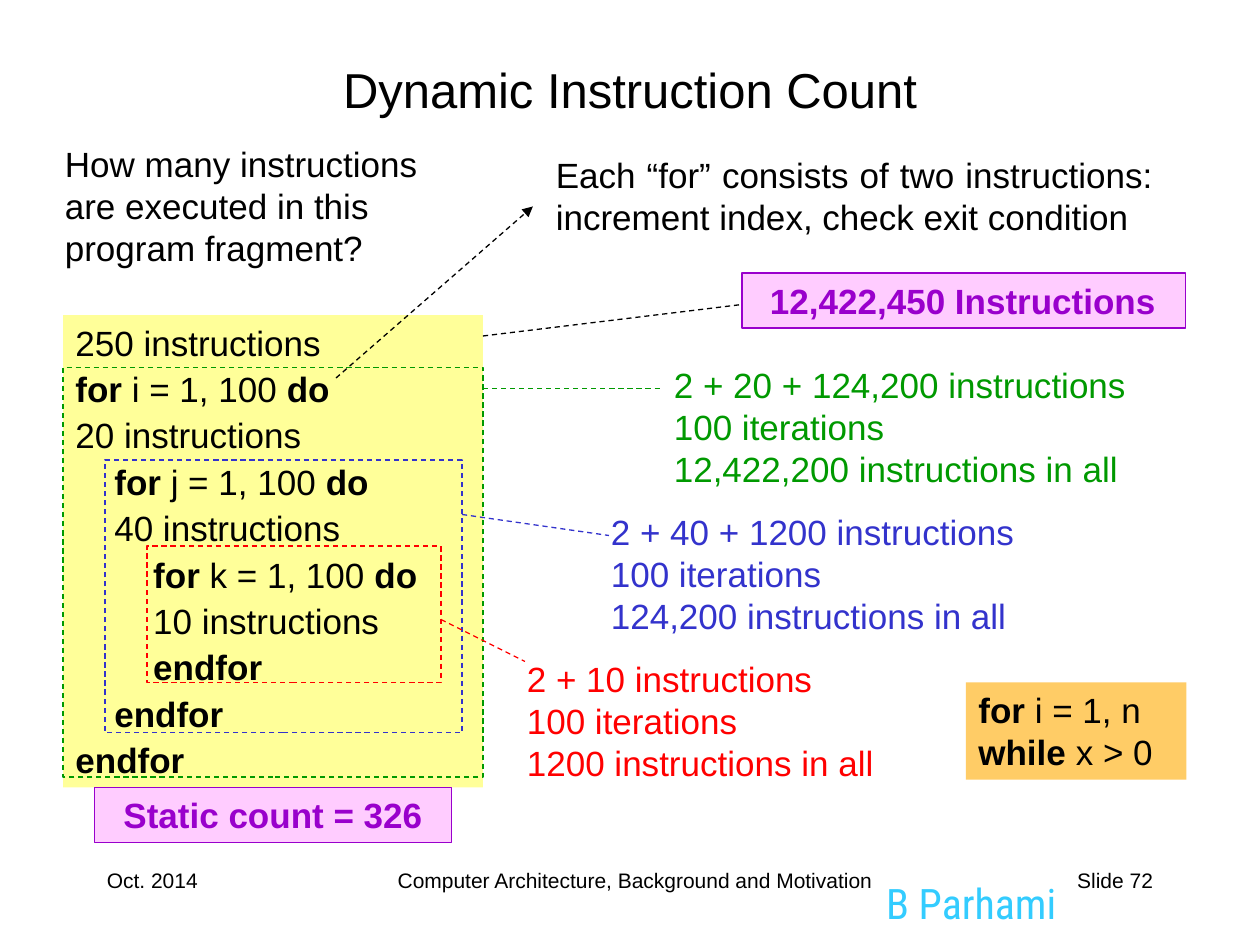
from lxml.etree import SubElement
from pptx import Presentation
from pptx.dml.color import RGBColor
from pptx.enum.dml import MSO_LINE_DASH_STYLE as Dash
from pptx.enum.shapes import MSO_CONNECTOR as Connector, MSO_SHAPE as Shape
from pptx.enum.text import MSO_ANCHOR as Anchor, PP_ALIGN as Align
from pptx.oxml.ns import qn
from pptx.util import Pt

BLACK = RGBColor(0x00, 0x00, 0x00)
GREEN = RGBColor(0x00, 0x99, 0x00)
BLUE = RGBColor(0x33, 0x33, 0xCC)
RED = RGBColor(0xFF, 0x00, 0x00)
PURPLE = RGBColor(0x99, 0x00, 0xCC)
CYAN = RGBColor(0x33, 0xCC, 0xFF)
YELLOW = RGBColor(0xFF, 0xFF, 0x99)
PINK = RGBColor(0xFF, 0xCC, 0xFF)
ORANGE = RGBColor(0xFF, 0xCC, 0x66)

LINE_WIDTH = Pt(0.75)
INDENT_STEP = 22.24

CODE = [
    (0, "250 instructions"),
    (0, "*for* i = 1, 100 *do*"),
    (0, "20 instructions"),
    (1, "*for* j = 1, 100 *do*"),
    (1, "40 instructions"),
    (2, "*for* k = 1, 100 *do*"),
    (2, "10 instructions"),
    (2, "*endfor*"),
    (1, "*endfor*"),
    (0, "*endfor*"),
]

LOOPS = [
    (GREEN, (36, 210, 240, 234), (276, 222, 378, 222), (378, 204, 288, 79),
     ["2 + 20 + 124,200 instructions", "100 iterations",
      "12,422,200 instructions in all"]),
    (BLUE, (60, 262.8, 204, 156), (264, 294, 348, 306), (342, 288, 288, 79),
     ["2 + 40 + 1200 instructions", "100 iterations",
      "124,200 instructions in all"]),
    (RED, (84, 312, 168, 78), (252, 354, 300, 378), (294, 372, 222, 79),
     ["2 + 10 instructions", "100 iterations", "1200 instructions in all"]),
]


def points(values):
    return [Pt(value) for value in values]


def write(box, lines, color=BLACK, size=20, align=Align.LEFT, font="Arial",
          anchor=Anchor.TOP, after=0):
    frame = box.text_frame
    frame.word_wrap = True
    frame.vertical_anchor = anchor
    for index, line in enumerate(lines):
        level, text = line if isinstance(line, tuple) else (0, line)
        para = frame.paragraphs[0] if index == 0 else frame.add_paragraph()
        para.alignment = align
        para.space_after = Pt(after)
        if level:
            para._p.get_or_add_pPr().set("marL", str(Pt(level * INDENT_STEP)))
        for part, words in enumerate(text.split("*")):
            if words:
                span = para.add_run()
                span.text = words
                span.font.name = font
                span.font.size = Pt(size)
                span.font.bold = part % 2 == 1
                span.font.color.rgb = color


def add_text(page, place, lines, **style):
    write(page.shapes.add_textbox(*points(place)), lines, **style)


def add_panel(page, place, fill=None, outline=None, dashed=False):
    panel = page.shapes.add_shape(Shape.RECTANGLE, *points(place))
    panel.shadow.inherit = False
    if fill is None:
        panel.fill.background()
    else:
        panel.fill.solid()
        panel.fill.fore_color.rgb = fill
    if outline is None:
        panel.line.fill.background()
    else:
        panel.line.color.rgb = outline
        panel.line.width = LINE_WIDTH
        if dashed:
            panel.line.dash_style = Dash.DASH
    return panel


def add_dashed_line(page, ends, color=BLACK, arrow=False):
    link = page.shapes.add_connector(Connector.STRAIGHT, *points(ends))
    link.line.color.rgb = color
    link.line.width = LINE_WIDTH
    link.line.dash_style = Dash.DASH
    if arrow:
        SubElement(link.line._get_or_add_ln(), qn("a:tailEnd"), type="triangle")
    SubElement(link._element.spPr, qn("a:effectLst"))


def add_footer(page):
    add_text(page, (470, 498, 170, 36), ["B Parhami"], color=CYAN, size=24,
             font="Roboto Condensed", align=Align.CENTER)
    for left, width, align, text in [
        (54, 150, Align.LEFT, "Oct. 2014"),
        (174, 378, Align.CENTER, "Computer Architecture, Background and Motivation"),
        (516, 150, Align.RIGHT, "Slide 72"),
    ]:
        add_text(page, (left, 492, width, 36), [text], size=12, align=align)


def main():
    deck = Presentation()
    deck.slide_width, deck.slide_height = Pt(720), Pt(540)
    page = deck.slides.add_slide(deck.slide_layouts[6])

    add_footer(page)
    add_text(page, (54, 24, 612, 54), ["Dynamic Instruction Count"], size=28,
             align=Align.CENTER, anchor=Anchor.MIDDLE)
    write(add_panel(page, (36, 180, 240, 270), YELLOW), CODE, after=2.5)
    add_text(page, (30, 78, 222, 79),
             ["How many instructions are executed in this program fragment?"])
    add_dashed_line(page, (192, 216, 304.5, 118), arrow=True)
    add_text(page, (310.5, 84, 355.5, 55.5),
             ["Each “for” consists of two instructions: "
              "increment index, check exit condition"], align=Align.JUSTIFY)

    for color, frame, link, note, lines in LOOPS:
        add_text(page, note, lines, color=color)
        add_panel(page, frame, outline=color, dashed=True)
        add_dashed_line(page, link, color)

    add_dashed_line(page, (276, 192, 424, 174))
    total = add_panel(page, (424, 156, 253.5, 31.5), PINK, PURPLE)
    total.text_frame.margin_left = Pt(16)
    write(total, ["*12,422,450 Instructions*"], color=PURPLE)
    write(add_panel(page, (552, 390, 126, 55.5), ORANGE),
          ["*for* i = 1, n", "*while* x > 0"])
    write(add_panel(page, (54, 450, 204, 31.5), PINK, PURPLE),
          ["*Static count = 326*"], color=PURPLE, align=Align.CENTER)

    deck.save("out.pptx")


if __name__ == "__main__":
    main()
